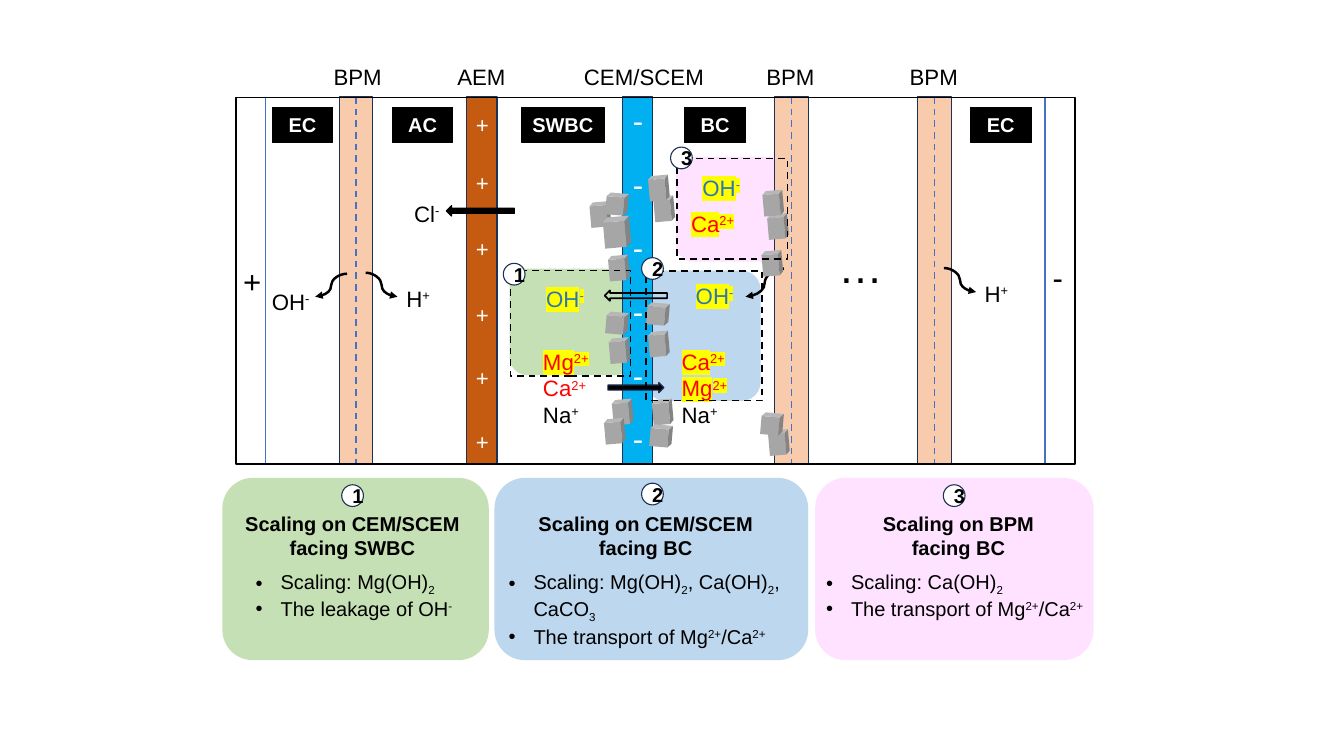
import pptx
import pptx.util
import pptx.dml.color
import pptx.enum.dml
import pptx.enum.shapes
import pptx.enum.text
import pptx.oxml.ns
import lxml.etree

Cm = pptx.util.Cm
Pt = pptx.util.Pt
Kind = pptx.enum.shapes.MSO_SHAPE
Wire = pptx.enum.shapes.MSO_CONNECTOR
Dash = pptx.enum.dml.MSO_LINE.DASH
Align = pptx.enum.text.PP_ALIGN
qn = pptx.oxml.ns.qn
rgb = pptx.dml.color.RGBColor.from_string

theme = {
    "font": "Arial", "black": "000000", "white": "FFFFFF", "red": "FF0000",
    "ion": "2E75B6", "mark": "FFFF00", "edge": "1E3256", "wire": "4472C4",
    "green": "C5E0B4", "blue": "BDD7EE", "pink": "FEE2FF", "grey": "A6A6A6",
    "aem": "C55A11", "cem": "00B0F0", "bpm": "F8CBAD",
    "body": 18, "label": 20, "sign": 28, "dots": 40,
}

deck = pptx.Presentation()
deck.slide_width = Cm(42.67)
deck.slide_height = Cm(24)
slide = deck.slides.add_slide(deck.slide_layouts[6])


def draw(kind, x, y, w, h, fill=None, line=None, width=1, dash=None):
    shape = slide.shapes.add_shape(kind, Cm(x), Cm(y), Cm(w), Cm(h))
    shape.shadow.inherit = False
    if fill:
        shape.fill.solid()
        shape.fill.fore_color.rgb = rgb(theme[fill])
    else:
        shape.fill.background()
    if line:
        shape.line.color.rgb = rgb(theme[line])
        shape.line.width = Pt(width)
        shape.line.dash_style = dash
    else:
        shape.line.fill.background()
    return shape


def write(shape, lines, size="label", bold=False, align=None, bullet=False):
    frame = shape.text_frame
    frame.word_wrap = True
    for i, (text, color, mark) in enumerate(lines):
        para = frame.paragraphs[0] if i == 0 else frame.add_paragraph()
        para.alignment = align
        if bullet:
            props = para._p.get_or_add_pPr()
            props.set("marL", str(Cm(0.79)))
            props.set("indent", str(-Cm(0.79)))
            lxml.etree.SubElement(props, qn("a:buFont")).set("typeface", theme["font"])
            lxml.etree.SubElement(props, qn("a:buChar")).set("char", "•")
        para.font.name = theme["font"]
        para.font.size = Pt(theme[size])
        para.font.bold = bold
        para.font.color.rgb = rgb(theme[color])
        for k, part in enumerate(text.split("|")):
            if not part:
                continue
            run = para.add_run()
            run.text = part
            props = run._r.get_or_add_rPr()
            if k % 2:
                props.set("baseline", "-25000" if part.isdigit() else "30000")
            if mark:
                glow = lxml.etree.SubElement(props, qn("a:highlight"))
                lxml.etree.SubElement(glow, qn("a:srgbClr")).set("val", theme["mark"])


sites = [
    ("1", "green", (7.06, 8.46), (16.18, 8.53, 3.91, 3.38),
     (16.21, 8.59, 3.81, 3.35), [(10.85, 15.39), (15.98, 8.36)],
     (4.98, 12.42), ["Scaling on CEM/SCEM", "facing SWBC"],
     (7.87, 6.96), ["Scaling: Mg(OH)|2|", "The leakage of OH|-|"]),
    ("2", "blue", (15.7, 9.96), (20.52, 8.59, 3.63, 4.14),
     (20.52, 8.61, 3.68, 4.11), [(20.37, 15.34), (20.37, 8.18)],
     (15.32, 10.36), ["Scaling on CEM/SCEM", "facing BC"],
     (15.9, 10.46), ["Scaling: Mg(OH)|2|, Ca(OH)|2|, CaCO|3|",
                     "The transport of Mg|2+|/Ca|2+|"]),
    ("3", "pink", (25.88, 8.84), (21.46, 4.98, 3.53, 3.33),
     (21.49, 5.03, 3.51, 3.2), [(29.95, 15.39), (21.29, 4.67)],
     (25.25, 10.36), ["Scaling on BPM", "facing BC"],
     (25.98, 9.6), ["Scaling: Ca(OH)|2|", "The transport of Mg|2+|/Ca|2+|"]),
]
for num, color, (x, w), zone, *rest in sites:
    draw(Kind.ROUNDED_RECTANGLE, x, 15.17, w, 5.79, color)
    draw(Kind.ROUNDED_RECTANGLE, *zone, color)

top, tall = 3.08, 11.65
wires = [(Wire.STRAIGHT, x, top, x, top + tall, "wire", 1.5, None, False)
         for x in (8.43, 33.17)]
notes = []
for name, color, x, w, left, wide in [
    ("BPM", "bpm", 10.77, 1.07, 10.34, 2.06),
    ("AEM", "aem", 14.81, 0.97, 14.27, 2.06),
    ("CEM/SCEM", "cem", 19.76, 0.97, 18.29, 4.72),
    ("BPM", "bpm", 24.59, 1.07, 24.08, 2.06),
    ("BPM", "bpm", 29.13, 1.07, 28.63, 2.06),
]:
    draw(Kind.RECTANGLE, x, top, w, tall, color, "edge")
    notes.append((left, 1.9, wide, 1.12, "label", [(name, "black", False)]))
    if name == "BPM":
        mid = x + w / 2
        wires.append((Wire.STRAIGHT, mid, top, mid, top + tall, "wire", 1.5, Dash, False))

for curve in [(24.89, 8.53, 23.67, 9.42), (11.61, 8.66, 12.62, 9.42),
              (11.02, 8.69, 10.01, 9.42), (29.97, 8.51, 30.99, 9.27)]:
    wires.append((Wire.CURVE, *curve, "black", 2.25, None, True))

for kind, x1, y1, x2, y2, color, width, dash, arrow in wires:
    wire = slide.shapes.add_connector(kind, Cm(x1), Cm(y1), Cm(x2), Cm(y2))
    wire.line.color.rgb = rgb(theme[color])
    wire.line.width = Pt(width)
    wire.line.dash_style = dash
    if arrow:
        tail = lxml.etree.SubElement(wire.line._get_or_add_ln(), qn("a:tailEnd"))
        tail.set("type", "triangle")
    lxml.etree.SubElement(wire._element.spPr, qn("a:effectLst"))

draw(Kind.RIGHT_ARROW, 19.3, 12.14, 1.78, 0.33, "black", "edge")
draw(Kind.LEFT_ARROW, 14.17, 6.53, 2.16, 0.33, "black", "black")

crystals = [
    (0.64, 0.8, -5, [(20.92, 10.92), (21.09, 6.63), (21.04, 13.08), (19.06, 6.81),
                     (20.92, 5.97), (19.65, 8.51), (19.67, 11.13), (19.77, 13.08),
                     (19.52, 13.69), (24.7, 7.19), (24.55, 6.45), (24.52, 8.36),
                     (24.73, 14.05)]),
    (0.7, 0.7, 5, [(20.89, 9.97), (19.59, 6.48), (19.59, 10.26), (20.99, 13.84),
                   (24.51, 13.46)]),
    (0.84, 0.98, -5, [(19.59, 7.37)]),
]
for w, h, turn, spots in crystals:
    for x, y in spots:
        cube = draw(Kind.CUBE, x - w / 2, y - h / 2, w, h, "grey")
        cube.adjustments[0] = 0.18
        cube.rotation = turn

draw(Kind.LEFT_ARROW, 19.2, 9.22, 1.98, 0.33, None, "black", 1.5)

for name, x, w in [("EC", 8.64, 1.93), ("AC", 12.45, 1.93), ("SWBC", 16.56, 2.62),
                   ("BC", 21.74, 1.93), ("EC", 30.81, 1.93)]:
    tag = draw(Kind.RECTANGLE, x, 3.4, w, 1.12, "black", "black")
    write(tag, [(name, "white", False)], "body", True, Align.CENTER)

draw(Kind.RECTANGLE, 7.49, 3.1, 26.64, 11.63, None, "black", 1.5)

for y in (3.4, 5.26, 7.34, 9.45, 11.43, 13.46):
    notes.append((14.86, y, 1.14, 1.12, "label", [("+", "white", False)]))
for i in range(6):
    notes.append((19.84, 3.1 + 2.02 * i, 1.14, 1.45, "sign", [("-", "white", False)]))
for text, x, y, w, color, mark in [
    ("OH|-|", 21.84, 8.84, 2.67, "ion", True),
    ("OH|-|", 22.05, 5.41, 2.67, "ion", True),
    ("OH|-|", 17.09, 8.92, 2.67, "ion", True),
    ("Ca|2+|", 21.69, 6.55, 2.36, "red", True),
    ("OH|-|", 8.38, 9.02, 2.67, "black", False),
    ("H|+|", 12.65, 8.92, 1.8, "black", False),
    ("H|+|", 31.01, 8.76, 1.8, "black", False),
    ("Cl|-|", 12.9, 6.22, 1.65, "black", False),
]:
    notes.append((x, y, w, 1.12, "label", [(text, color, mark)]))
notes += [
    (7.47, 8.2, 1.14, 1.45, "sign", [("+", "black", False)]),
    (33.17, 8.08, 1.14, 1.45, "sign", [("-", "black", False)]),
    (26.37, 7.47, 2.34, 1.96, "dots", [("…", "black", False)]),
    (21.39, 10.92, 2.82, 2.82, "label",
     [("Ca|2+|", "red", True), ("Mg|2+|", "red", True), ("Na|+|", "black", False)]),
    (16.99, 10.92, 2.82, 2.82, "label",
     [("Mg|2+|", "red", True), ("Ca|2+|", "red", False), ("Na|+|", "black", False)]),
]
for x, y, w, h, size, lines in notes:
    write(slide.shapes.add_textbox(Cm(x), Cm(y), Cm(w), Cm(h)), lines, size)

for num, color, panel, zone, frame, spots, (hx, hw), head, (bx, bw), facts in sites:
    box = slide.shapes.add_textbox(Cm(hx), Cm(16.12), Cm(hw), Cm(1.8))
    write(box, [(t, "black", False) for t in head], "body", True, Align.CENTER)
    box = slide.shapes.add_textbox(Cm(bx), Cm(17.96), Cm(bw), Cm(2.57))
    write(box, [(t, "black", False) for t in facts], "body", bullet=True)
    draw(Kind.RECTANGLE, *frame, None, "black", 1.5, Dash)
    for x, y in spots:
        badge = draw(Kind.OVAL, x, y, 0.69, 0.69, "white", "edge")
        write(badge, [(num, "black", False)], "body", True, Align.CENTER)

deck.save("out.pptx")
